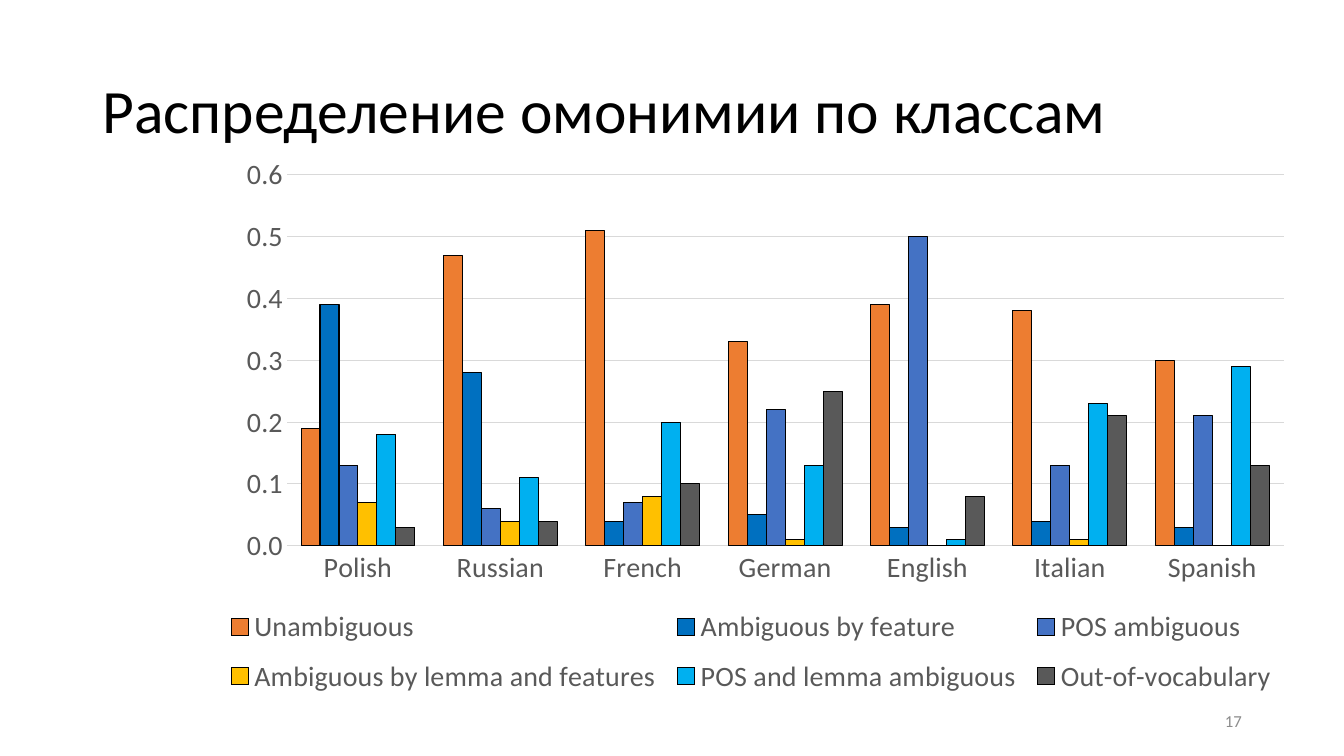
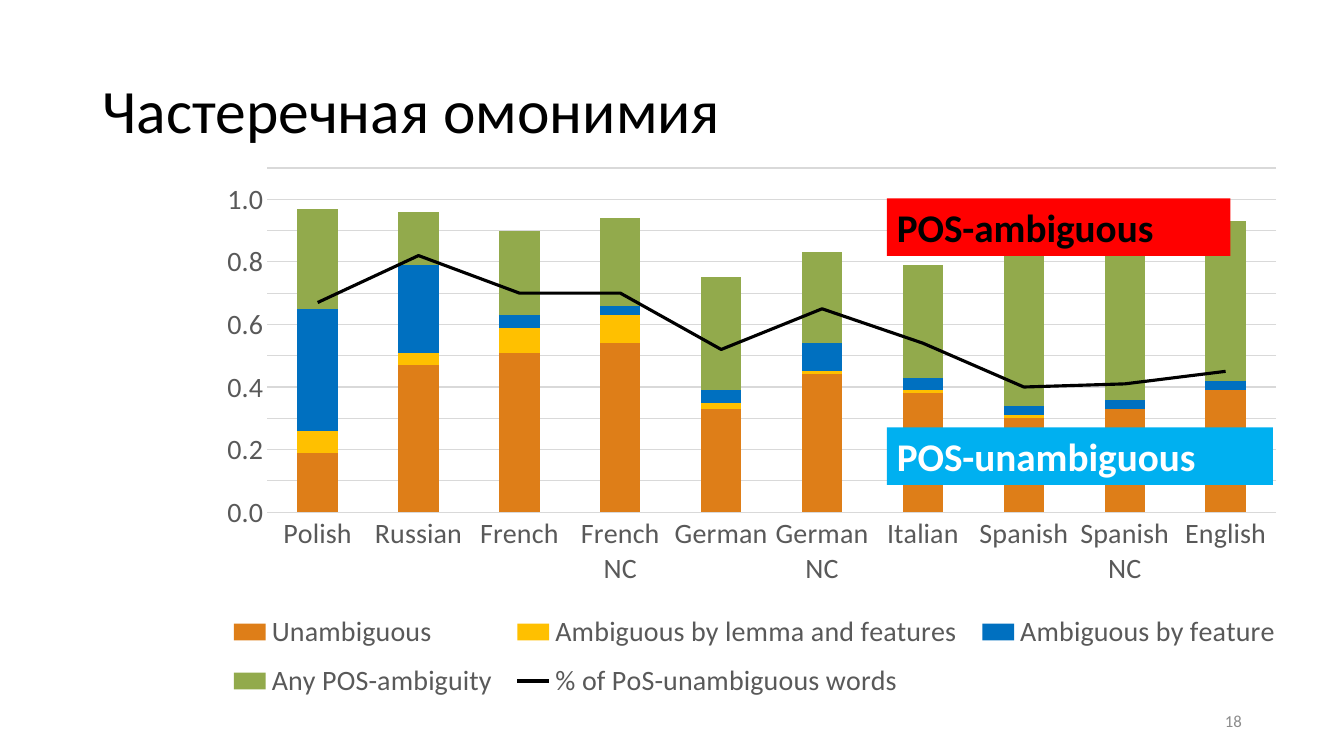
from lxml.etree import SubElement
from pptx import Presentation
from pptx.chart.data import CategoryChartData
from pptx.dml.color import RGBColor
from pptx.enum.chart import XL_CHART_TYPE, XL_LEGEND_POSITION, XL_TICK_MARK
from pptx.enum.shapes import MSO_SHAPE
from pptx.enum.text import MSO_ANCHOR, PP_ALIGN
from pptx.oxml import parse_xml
from pptx.oxml.ns import nsdecls, qn
from pptx.util import Cm, Pt

FONT = "Calibri"
COLORS = {
    "black": "000000", "white": "FFFFFF", "label": "595959", "grid": "D9D9D9",
    "number": "8C8C8C", "orange": "ED7D31", "dark orange": "DE7E18",
    "blue": "0070C0", "indigo": "4472C4", "yellow": "FFC000",
    "sky": "00B0F0", "green": "92AA4C", "red": "FF0000",
}

# Boxes are left, top, width, height in centimetres.
TITLE_BOX = (2.33, 1.02, 29.21, 3.68)
NUMBER_BOX = (23.93, 17.65, 7.62, 1.02)
CLASSES_BOX = (5.51, 3.81, 26.85, 14.25)
POS_BOX = (5.49, 3.81, 27.05, 14.15)

CLASSES_LANGUAGES = ["Polish", "Russian", "French", "German", "English", "Italian", "Spanish"]
CLASSES_SERIES = [
    ("Unambiguous", "orange", [0.19, 0.47, 0.51, 0.33, 0.39, 0.38, 0.3]),
    ("Ambiguous by feature", "blue", [0.39, 0.28, 0.04, 0.05, 0.03, 0.04, 0.03]),
    ("POS ambiguous", "indigo", [0.13, 0.06, 0.07, 0.22, 0.5, 0.13, 0.21]),
    ("Ambiguous by lemma and features", "yellow", [0.07, 0.04, 0.08, 0.01, 0, 0.01, 0]),
    ("POS and lemma ambiguous", "sky", [0.18, 0.11, 0.2, 0.13, 0.01, 0.23, 0.29]),
    ("Out-of-vocabulary", "label", [0.03, 0.04, 0.1, 0.25, 0.08, 0.21, 0.13]),
]
POS_LANGUAGES = ["Polish", "Russian", "French", "French NC", "German", "German NC",
                 "Italian", "Spanish", "Spanish NC", "English"]
POS_SERIES = [
    ("Unambiguous", "dark orange",
     [0.19, 0.47, 0.51, 0.54, 0.33, 0.44, 0.38, 0.3, 0.33, 0.39]),
    ("Ambiguous by lemma and features", "yellow",
     [0.07, 0.04, 0.08, 0.09, 0.02, 0.01, 0.01, 0.01, 0, 0]),
    ("Ambiguous by feature", "blue",
     [0.39, 0.28, 0.04, 0.03, 0.04, 0.09, 0.04, 0.03, 0.03, 0.03]),
    ("Any POS-ambiguity", "green",
     [0.32, 0.17, 0.27, 0.28, 0.36, 0.29, 0.36, 0.5, 0.51, 0.51]),
    ("% of PoS-unambiguous words", "black",
     [0.67, 0.82, 0.7, 0.7, 0.52, 0.65, 0.54, 0.4, 0.41, 0.45]),
]


def rgb(color):
    return RGBColor.from_string(COLORS[color])


def cm_box(box):
    return [Cm(length) for length in box]


def style_font(font, size, color, bold=False):
    font.name, font.size, font.bold = FONT, Pt(size), bold
    font.color.rgb = rgb(color)


def style_line(line, color, width=0.75):
    line.color.rgb = rgb(color)
    line.width = Pt(width)


def add_titled_slide(prs, title_text, number):
    slide = prs.slides.add_slide(prs.slide_layouts[5])
    title = slide.shapes.title
    title.left, title.top, title.width, title.height = cm_box(TITLE_BOX)
    title.text_frame.text = title_text
    title.text_frame.vertical_anchor = MSO_ANCHOR.MIDDLE
    heading = title.text_frame.paragraphs[0]
    heading.alignment, heading.line_spacing = PP_ALIGN.LEFT, 0.9
    style_font(heading.font, 44, "black")

    footer = slide.shapes.add_textbox(*cm_box(NUMBER_BOX)).text_frame
    footer.word_wrap = True
    footer.vertical_anchor = MSO_ANCHOR.MIDDLE
    footer.text = str(number)
    footer.paragraphs[0].alignment = PP_ALIGN.RIGHT
    style_font(footer.paragraphs[0].font, 12, "number")
    return slide


def manual_layout(fractions, inner=False):
    """Return a layout at x, y, w, h fractions of the chart."""
    layout = parse_xml(f"<c:layout {nsdecls('c')}/>")
    manual = SubElement(layout, qn("c:manualLayout"))
    settings = [("layoutTarget", "inner")] if inner else []
    settings += [("xMode", "edge"), ("yMode", "edge"), *zip("xywh", fractions)]
    for tag, value in settings:
        SubElement(manual, qn(f"c:{tag}")).set("val", str(value))
    return layout


def place_plot_and_legend(chart, plot_fractions, legend_top):
    """Fix the plot area and give the legend two rows over the full width."""
    plot_area = chart._chartSpace.chart.plotArea
    legend = chart._chartSpace.chart.find(qn("c:legend"))
    for part in (plot_area, legend):
        for old_layout in part.findall(qn("c:layout")):
            part.remove(old_layout)
    plot_area.insert(0, manual_layout(plot_fractions, inner=True))
    legend.find(qn("c:legendPos")).addnext(manual_layout((0, legend_top, 1, 0.2)))


def add_column_chart(slide, box, kind, languages, series_rows, plot_fractions, legend_top):
    data = CategoryChartData(number_format="0.00")
    data.categories = languages
    for name, _, values in series_rows:
        data.add_series(name, values)
    chart = slide.shapes.add_chart(kind, *cm_box(box), data).chart
    style_font(chart.font, 20, "label")
    chart.has_title = False
    chart.has_legend = True
    chart.legend.position = XL_LEGEND_POSITION.BOTTOM
    chart.legend.include_in_layout = False
    style_font(chart.legend.font, 20, "label")

    for axis in (chart.category_axis, chart.value_axis):
        axis.major_tick_mark = axis.minor_tick_mark = XL_TICK_MARK.NONE
        style_font(axis.tick_labels.font, 20, "label")
    style_line(chart.category_axis.format.line, "grid")
    shares = chart.value_axis
    shares.format.line.fill.background()
    shares.has_major_gridlines = True
    style_line(shares.major_gridlines.format.line, "grid")
    shares.tick_labels.number_format = "#,##0.0"
    shares.tick_labels.number_format_is_linked = False
    shares.minimum_scale = 0
    shares.major_unit = 0.1

    plot = chart.plots[0]
    plot.gap_width = 150
    plot.vary_by_categories = False
    for series, (_, color, _) in zip(plot.series, series_rows):
        series.invert_if_negative = False
        series.format.fill.solid()
        series.format.fill.fore_color.rgb = rgb(color)
    place_plot_and_legend(chart, plot_fractions, legend_top)
    return chart


def turn_last_series_into_line(chart, color):
    """Move the last column series to a line plot on the same axes."""
    columns = chart._chartSpace.chart.plotArea.find(qn("c:barChart"))
    share = columns.findall(qn("c:ser"))[-1]
    share.remove(share.find(qn("c:invertIfNegative")))
    share.remove(share.find(qn("c:spPr")))
    line_plot = parse_xml(
        f'<c:lineChart {nsdecls("c")}><c:grouping val="standard"/>'
        '<c:varyColors val="0"/></c:lineChart>')
    line_plot.append(share)
    SubElement(line_plot, qn("c:marker")).set("val", "1")
    for axis_id in columns.findall(qn("c:axId")):
        SubElement(line_plot, qn("c:axId")).set("val", axis_id.get("val"))
    columns.addnext(line_plot)

    series = chart.plots[1].series[0]
    series.smooth = False
    style_line(series.format.line, color, 2.25)
    share.find(qn("c:spPr")).addnext(
        parse_xml(f'<c:marker {nsdecls("c")}><c:symbol val="none"/></c:marker>'))


def add_callout(slide, box, label, fill, text_color):
    callout = slide.shapes.add_shape(MSO_SHAPE.RECTANGLE, *cm_box(box))
    callout.shadow.inherit = False
    callout.fill.solid()
    callout.fill.fore_color.rgb = rgb(fill)
    callout.line.fill.background()
    frame = callout.text_frame
    frame.word_wrap = True
    frame.vertical_anchor = MSO_ANCHOR.TOP
    frame.text = label
    frame.paragraphs[0].alignment = PP_ALIGN.LEFT
    style_font(frame.paragraphs[0].font, 28, text_color, bold=True)


def add_classes_chart(slide, box):
    chart = add_column_chart(slide, box, XL_CHART_TYPE.COLUMN_CLUSTERED, CLASSES_LANGUAGES,
                             CLASSES_SERIES, (0.064, 0.042, 0.936, 0.656), 0.785)
    chart.plots[0].overlap = 0
    chart.value_axis.maximum_scale = 0.6
    for series in chart.plots[0].series:
        style_line(series.format.line, "black")


def add_pos_chart(slide, box):
    chart = add_column_chart(slide, box, XL_CHART_TYPE.COLUMN_STACKED_100, POS_LANGUAGES,
                             POS_SERIES, (0.046, 0.03, 0.94, 0.613), 0.8)
    chart.plots[0].overlap = 100
    chart.value_axis.maximum_scale = 1.1
    turn_last_series_into_line(chart, "black")

    left, top = box[0] + 16.86, box[1]
    add_callout(slide, (left, top + 1.19, 8.66, 1.45), "POS-ambiguous", "red", "black")
    add_callout(slide, (left, top + 6.96, 9.73, 1.45), "POS-unambiguous", "sky", "white")


def main():
    prs = Presentation()
    prs.slide_width, prs.slide_height = Cm(33.87), Cm(19.05)
    add_classes_chart(add_titled_slide(prs, "Распределение омонимии по классам", 17), CLASSES_BOX)
    add_pos_chart(add_titled_slide(prs, "Частеречная омонимия", 18), POS_BOX)
    prs.save("out.pptx")


if __name__ == "__main__":
    main()
